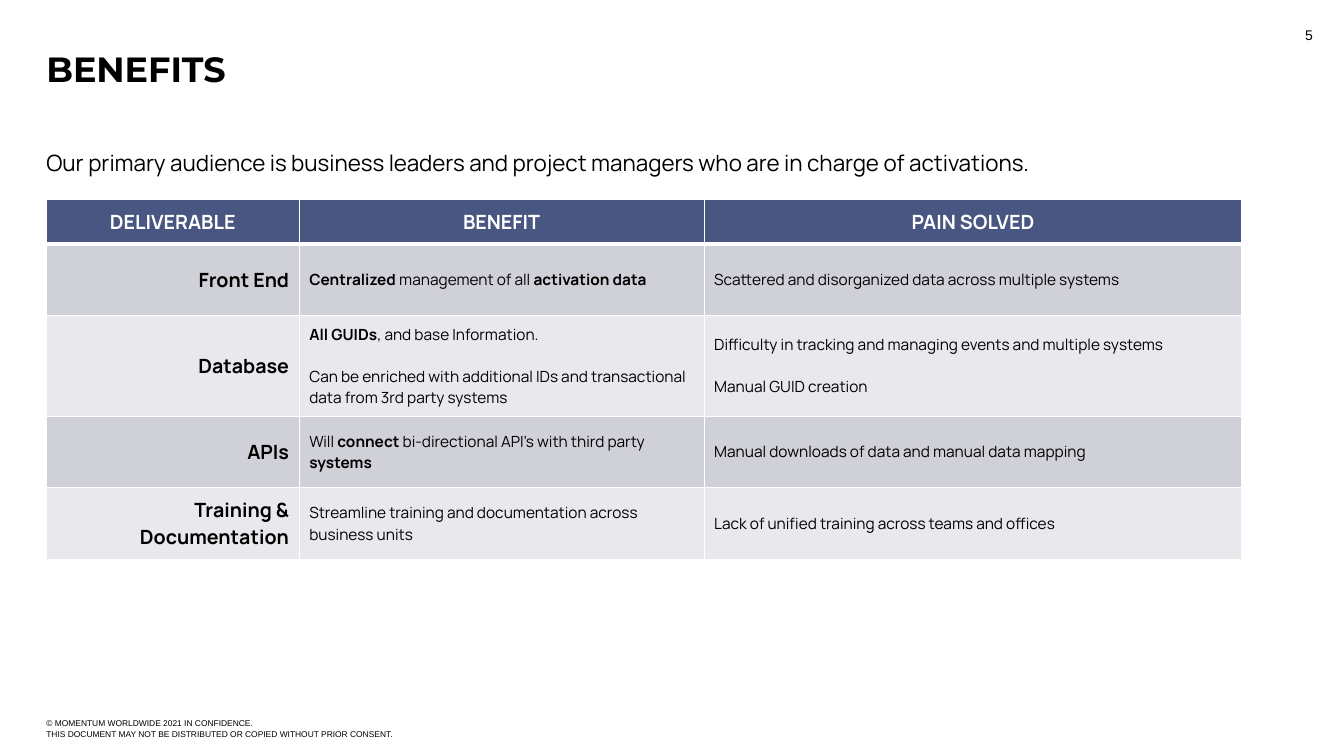
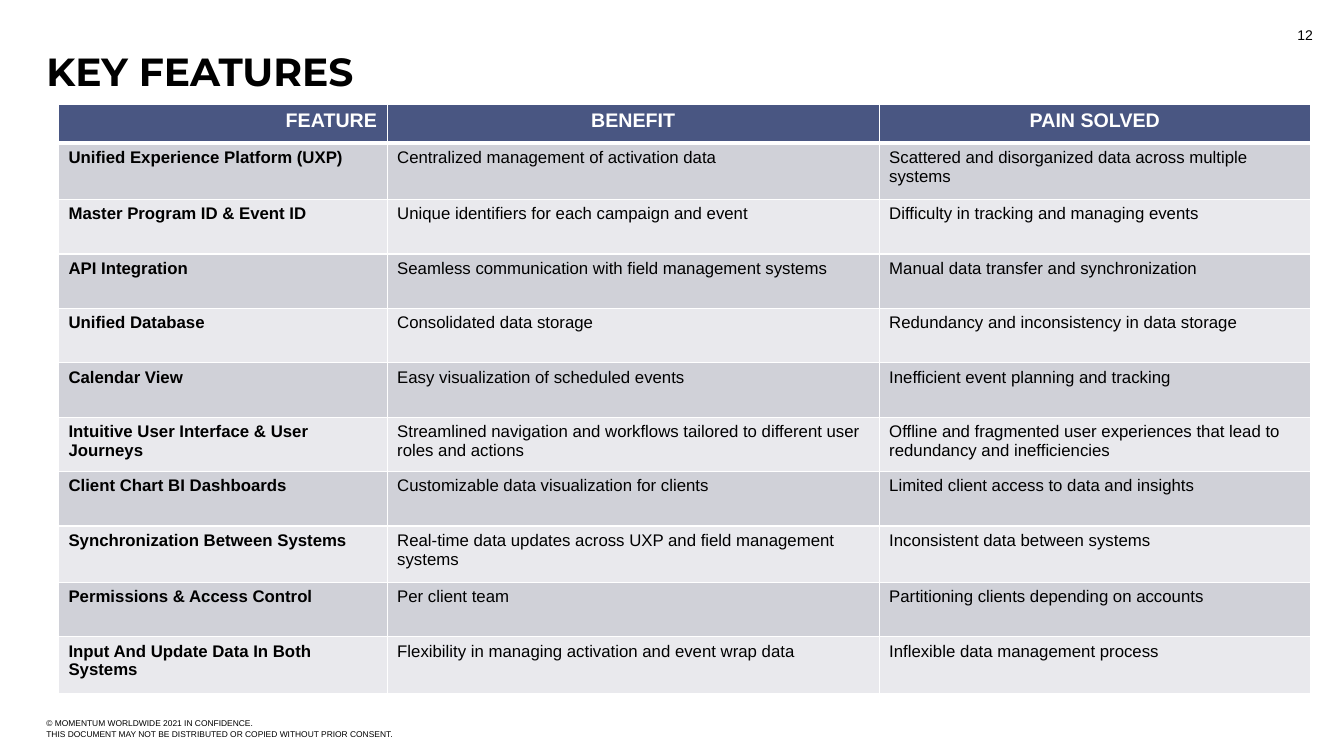
from lxml import etree
from pptx import Presentation
from pptx.dml.color import RGBColor
from pptx.enum.text import MSO_ANCHOR, PP_ALIGN
from pptx.oxml.ns import qn
from pptx.util import Inches, Pt

LEFT, CENTER, RIGHT = PP_ALIGN.LEFT, PP_ALIGN.CENTER, PP_ALIGN.RIGHT
TOP, MIDDLE = MSO_ANCHOR.TOP, MSO_ANCHOR.MIDDLE
W, H = Inches(13.33), Inches(7.5)
COLORS = {"ink": "000000", "paper": "FFFFFF", "head": "495682",
          "odd": "D0D1D8", "even": "E9E9ED"}
TITLE_BOX = (3.45, 7.2, 93.17, 13.33)
LEAD_BOX = (3.45, 19.73, 93.17, 7.07)
PAGE_BOX = (75.92, 2, 22.5, 5.33)
FOOTER_BOX = (3.45, 92.8, 30.08, 6.93)
FOOTER = ("© MOMENTUM WORLDWIDE 2021 IN CONFIDENCE.\v"
          "THIS DOCUMENT MAY NOT BE DISTRIBUTED OR COPIED WITHOUT PRIOR CONSENT.")

BENEFITS = [
    ("DELIVERABLE", "BENEFIT", "PAIN SOLVED"),
    ("Front End", "**Centralized** management of all **activation data**",
     "Scattered and disorganized data across multiple systems"),
    ("Database",
     "**All GUIDs**, and base Information.\n"
     "Can be enriched with additional IDs and transactional data from 3rd party systems",
     "Difficulty in tracking and managing events and multiple systems\nManual GUID creation"),
    ("APIs", "Will **connect** bi-directional API's with third party **systems**",
     "Manual downloads of data and manual data mapping"),
    ("Training & Documentation",
     "Streamline training and documentation across business units",
     "Lack of unified training across teams and offices"),
]
FEATURES = [
    ("FEATURE", "BENEFIT", "PAIN SOLVED"),
    ("Unified Experience Platform (UXP)", "Centralized management of activation data",
     "Scattered and disorganized data across multiple systems"),
    ("Master Program ID & Event ID", "Unique identifiers for each campaign and event",
     "Difficulty in tracking and managing events"),
    ("API Integration", "Seamless communication with field management systems",
     "Manual data transfer and synchronization"),
    ("Unified Database", "Consolidated data storage",
     "Redundancy and inconsistency in data storage"),
    ("Calendar View", "Easy visualization of scheduled events",
     "Inefficient event planning and tracking"),
    ("Intuitive User Interface & User Journeys",
     "Streamlined navigation and workflows tailored to different user roles and actions",
     "Offline and fragmented user experiences that lead to redundancy and inefficiencies"),
    ("Client Chart BI Dashboards", "Customizable data visualization for clients",
     "Limited client access to data and insights"),
    ("Synchronization Between Systems",
     "Real-time data updates across UXP and field management systems",
     "Inconsistent data between systems"),
    ("Permissions & Access Control", "Per client team",
     "Partitioning clients depending on accounts"),
    ("Input And Update Data In Both Systems",
     "Flexibility in managing activation and event wrap data",
     "Inflexible data management process"),
]


def rgb(name):
    """Return the named colour."""
    return RGBColor.from_string(COLORS[name])


def place(box):
    """Turn percentages of the slide into left, top, width and height."""
    x, y, w, h = box
    return [round(v * side / 100) for v, side in ((x, W), (y, H), (w, W), (h, H))]


def style(p, font, size, color="ink", bold=False, align=LEFT):
    """Set the look of a paragraph."""
    p.alignment = align
    p.font.name, p.font.size, p.font.bold = font, Pt(size), bold
    p.font.color.rgb = rgb(color)


def add_text(s, box, text, font, size, bold=False, align=LEFT, anchor=TOP,
             spacing=None, inset=0):
    """Add a one-paragraph text box."""
    tf = s.shapes.add_textbox(*place(box)).text_frame
    tf.word_wrap, tf.vertical_anchor = True, anchor
    tf.margin_left = tf.margin_right = Inches(inset)
    tf.margin_top = tf.margin_bottom = Inches(inset / 2)
    p = tf.paragraphs[0]
    p.text = text
    p.line_spacing = spacing
    style(p, font, size, bold=bold, align=align)


def set_borders(cell, row):
    """Draw white cell borders, heavy below the header row."""
    tc_pr = cell._tc.get_or_add_tcPr()
    widths = {"lnL": 1, "lnR": 1, "lnT": 3 if row == 1 else 1, "lnB": 1 if row else 3}
    for tag, width in widths.items():
        ln = etree.SubElement(tc_pr, qn("a:" + tag), w=str(Pt(width)))
        fill = etree.SubElement(ln, qn("a:solidFill"))
        etree.SubElement(fill, qn("a:srgbClr"), val=COLORS["paper"])


def fill_cell(cell, text, font, size, color, bold, align):
    """Write paragraphs into a cell, with ** around bold words."""
    for i, line in enumerate(text.split("\n")):
        p = cell.text_frame.add_paragraph() if i else cell.text_frame.paragraphs[0]
        if i:
            p.space_before = Pt(15)
        for j, part in enumerate(line.split("**")):
            if part:
                r = p.add_run()
                r.text = part
                if j % 2:
                    r.font.bold = True
        style(p, font, size, color, bold, align)


def add_grid(s, box, data, cols, rows, font, sizes, aligns, anchor):
    """Add a table; sizes and aligns are for header, first column and body."""
    x, y, w, h = place(box)
    table = s.shapes.add_table(len(rows), len(cols), x, y, w, h).table
    table.horz_banding = False
    for column, share in zip(table.columns, cols):
        column.width = round(w * share / sum(cols))
    for i, (row, share, texts) in enumerate(zip(table.rows, rows, data)):
        row.height = round(h * share / sum(rows))
        for j, text in enumerate(texts):
            cell = table.cell(i, j)
            set_borders(cell, i)
            cell.fill.solid()
            cell.fill.fore_color.rgb = rgb("head" if i == 0 else "odd" if i % 2 else "even")
            cell.vertical_anchor = anchor
            kind = 0 if i == 0 else 1 if j == 0 else 2
            align = aligns[0][j] if i == 0 else aligns[kind]
            fill_cell(cell, text, font, sizes[kind], "ink" if i else "paper",
                      kind < 2, align)


def add_page(prs, title, size, number):
    """Add a slide with its title, page number and footer."""
    s = prs.slides.add_slide(prs.slide_layouts[6])
    add_text(s, FOOTER_BOX, FOOTER, "Arial", 6, anchor=MIDDLE, spacing=1.15)
    add_text(s, TITLE_BOX, title, "Montserrat", size, bold=True, spacing=0.85)
    add_text(s, PAGE_BOX, number, "Arial", 10, align=RIGHT, anchor=MIDDLE, inset=0.1)
    return s


def benefits_slide(prs):
    """Build the benefits slide."""
    s = add_page(prs, "BENEFITS", 25, "5")
    add_text(s, LEAD_BOX, "Our primary audience is business leaders and project managers "
             "who are in charge of activations.", "Manrope", 16)
    add_grid(s, (3.45, 26.4, 88.97, 47.6), BENEFITS, (2.51, 4.02, 5.34),
             (0.44, 0.71, 1, 0.71, 0.71), "Manrope", (14, 14, 11),
             ((CENTER, CENTER, CENTER), RIGHT, LEFT), MIDDLE)


def features_slide(prs):
    """Build the key features slide."""
    s = add_page(prs, "KEY FEATURES", 28, "12")
    rows = [0.38, 0.56] + [0.54] * 6 + [0.56, 0.54, 0.56]
    add_grid(s, (4.35, 13.87, 93.17, 77.87), FEATURES, (3.26, 4.88, 4.28),
             rows, "Arial", (14, 12, 12), ((RIGHT, CENTER, CENTER), LEFT, LEFT), TOP)


def main():
    """Build and save the presentation."""
    prs = Presentation()
    prs.slide_width, prs.slide_height = W, H
    benefits_slide(prs)
    features_slide(prs)
    prs.save("out.pptx")


if __name__ == "__main__":
    main()
